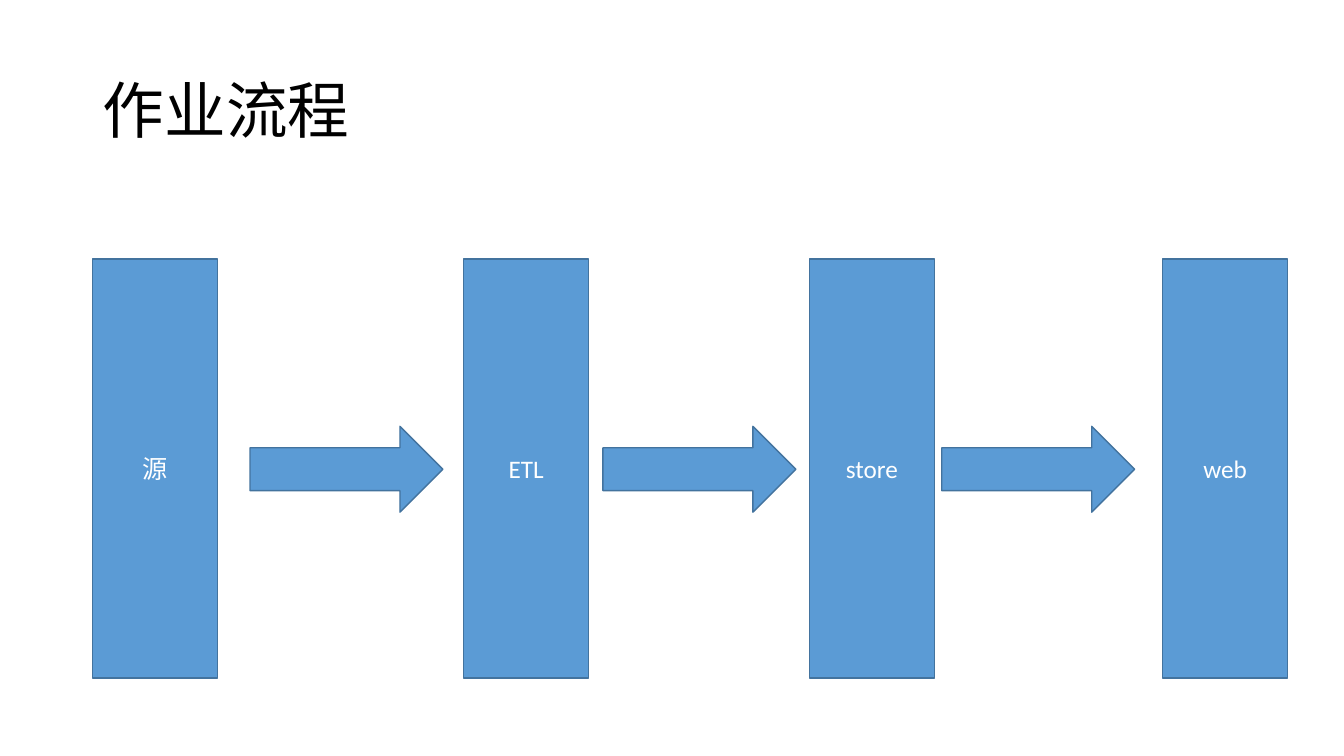
from dataclasses import dataclass
from pptx import Presentation
from pptx.dml.color import RGBColor as Rgb
from pptx.enum.shapes import MSO_SHAPE as Shape
from pptx.enum.text import MSO_ANCHOR as Anchor, MSO_AUTO_SIZE as Fit, PP_ALIGN as Align
from pptx.util import Inches, Pt


@dataclass
class Theme:
    font: str = "Calibri"
    fill: str = "5B9BD5"
    edge: str = "43739E"
    ink: str = "000000"
    pale: str = "FFFFFF"
    head: int = 44
    body: int = 18


class Deck:
    def __init__(self, theme):
        self.theme = theme
        self.show = Presentation()
        self.show.slide_width = Inches(13.33)
        self.show.slide_height = Inches(7.5)
        self.slide = self.show.slides.add_slide(self.show.slide_layouts[5])

    def span(self, left, top, width, height):
        wide, high = self.show.slide_width, self.show.slide_height
        return [int(part * size / 100) for part, size in
                ((left, wide), (top, high), (width, wide), (height, high))]

    def label(self, shape, text, size, color, align):
        frame = shape.text_frame
        frame.text = text
        frame.word_wrap = True
        frame.auto_size = Fit.NONE
        frame.vertical_anchor = Anchor.MIDDLE
        line = frame.paragraphs[0]
        line.alignment = align
        for run in line.runs:
            run.font.name = self.theme.font
            run.font.size = Pt(size)
            run.font.color.rgb = Rgb.from_string(color)
        return line

    def title(self, text, area):
        shape = self.slide.shapes.title
        shape.left, shape.top, shape.width, shape.height = self.span(*area)
        line = self.label(shape, text, self.theme.head, self.theme.ink, Align.LEFT)
        line.line_spacing = 0.9

    def block(self, kind, area):
        shape = self.slide.shapes.add_shape(kind, *self.span(*area))
        shape.shadow.inherit = False
        shape.fill.solid()
        shape.fill.fore_color.rgb = Rgb.from_string(self.theme.fill)
        shape.line.color.rgb = Rgb.from_string(self.theme.edge)
        shape.line.width = Pt(1)
        return shape

    def stage(self, text, left):
        shape = self.block(Shape.RECTANGLE, (left, 34.27, 9.3, 55.4))
        self.label(shape, text, self.theme.body, self.theme.pale, Align.CENTER)

    def arrow(self, left):
        self.block(Shape.RIGHT_ARROW, (left, 56.4, 14.35, 11.35))


deck = Deck(Theme())
deck.title("作业流程", (6.9, 5.33, 86.27, 19.33))
stages = {"源": 6.9, "ETL": 34.5, "store": 60.22, "web": 86.5}
for name, left in stages.items():
    deck.stage(name, left)
for left in (18.6, 44.86, 70.07):
    deck.arrow(left)
deck.show.save("out.pptx")
